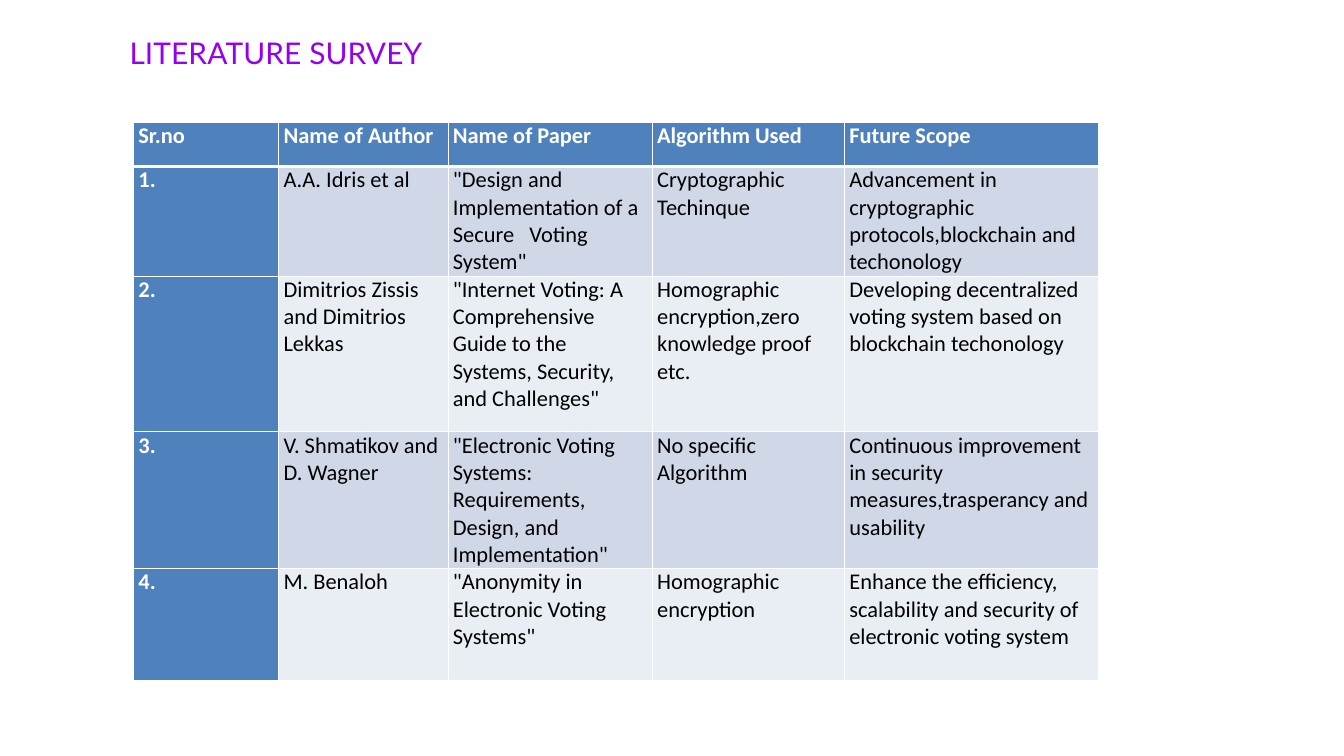
from dataclasses import dataclass

from lxml import etree
from pptx import Presentation
from pptx import util as u
from pptx.dml.color import RGBColor
from pptx.oxml.ns import qn

TITLE = "LITERATURE SURVEY"
HEADINGS = ["Sr.no", "Name of Author", "Name of Paper", "Algorithm Used", "Future Scope"]
PAPERS = [
    ("A.A. Idris et al",
     '"Design and Implementation of a Secure   Voting System"',
     "Cryptographic Techinque",
     "Advancement in cryptographic protocols,blockchain and techonology"),
    ("Dimitrios Zissis and Dimitrios Lekkas",
     '"Internet Voting: A Comprehensive Guide to the Systems, Security, and Challenges"',
     "Homographic encryption,zero knowledge proof etc.",
     "Developing decentralized voting system based on blockchain techonology"),
    ("V. Shmatikov and D. Wagner",
     '"Electronic Voting Systems: Requirements, Design, and Implementation"',
     "No specific Algorithm",
     "Continuous improvement in security measures,trasperancy and usability"),
    ("M. Benaloh",
     '"Anonymity in Electronic Voting Systems"',
     "Homographic encryption",
     "Enhance the efficiency, scalability and security of electronic voting system"),
]

# Lengths in px, 100 to the inch
SLIDE = (2000, 1125)
TITLE_BOX = (183, 46, 1100, 64)
TABLE_CORNER = (199, 182)
COLUMN_WIDTHS = [216, 252, 304, 286, 377]
ROW_HEIGHTS = [66, 133, 232, 199, 166]
CELL_INSET = 7


@dataclass(frozen=True)
class Theme:
    title_font: str = "Lato"
    table_font: str = "Calibri"
    title_size: int = 32
    table_size: int = 24
    title: str = "9600F2"
    accent: str = "4F81BD"
    bands: tuple = ("D0D8E8", "E9EDF4")
    light: str = "FFFFFF"
    dark: str = "000000"
    rule: int = 1
    header_rule: int = 3


THEME = Theme()


def px(length):
    return u.Emu(length * 9144)


def set_font(paragraph, name, size, color, bold=False):
    font = paragraph.font
    font.name, font.size, font.bold = name, u.Pt(size), bold
    font.color.rgb = RGBColor.from_string(color)


def add_borders(cell, top, bottom):
    """Draw all four cell edges; must run before the cell's fill is set."""
    properties = cell._tc.get_or_add_tcPr()
    widths = {"lnL": THEME.rule, "lnR": THEME.rule, "lnT": top, "lnB": bottom}
    for edge, width in widths.items():
        line = etree.SubElement(properties, qn(f"a:{edge}"), w=str(u.Pt(width)))
        fill = etree.SubElement(line, qn("a:solidFill"))
        etree.SubElement(fill, qn("a:srgbClr"), val=THEME.light)


def add_title(slide):
    frame = slide.shapes.add_textbox(*map(px, TITLE_BOX)).text_frame
    frame.word_wrap = True
    paragraph = frame.paragraphs[0]
    run = paragraph.add_run()
    run.text = TITLE
    run._r.get_or_add_rPr().set("spc", "10")
    set_font(paragraph, THEME.title_font, THEME.title_size, THEME.title)


def fill_cell(cell, content, row, column):
    cell.margin_left = cell.margin_right = px(CELL_INSET)
    cell.margin_top = cell.margin_bottom = 0
    add_borders(cell,
                top=THEME.header_rule if row == 1 else THEME.rule,
                bottom=THEME.header_rule if row == 0 else THEME.rule)
    heading = row == 0 or column == 0
    cell.fill.solid()
    cell.fill.fore_color.rgb = RGBColor.from_string(
        THEME.accent if heading else THEME.bands[(row - 1) % 2])
    cell.text = content
    set_font(cell.text_frame.paragraphs[0], THEME.table_font, THEME.table_size,
             THEME.light if heading else THEME.dark, bold=heading)


def add_survey(slide):
    rows = [HEADINGS] + [(f"{n}.", *paper) for n, paper in enumerate(PAPERS, 1)]
    size = (sum(COLUMN_WIDTHS), sum(ROW_HEIGHTS))
    table = slide.shapes.add_table(
        len(rows), len(HEADINGS), *map(px, TABLE_CORNER + size)).table
    table.first_col = True
    for column, width in zip(table.columns, COLUMN_WIDTHS):
        column.width = px(width)
    for r, (row, height) in enumerate(zip(rows, ROW_HEIGHTS)):
        table.rows[r].height = px(height)
        for c, content in enumerate(row):
            fill_cell(table.cell(r, c), content, r, c)


def main():
    deck = Presentation()
    deck.slide_width, deck.slide_height = map(px, SLIDE)
    slide = deck.slides.add_slide(deck.slide_layouts[6])
    add_survey(slide)
    add_title(slide)
    deck.save("out.pptx")


if __name__ == "__main__":
    main()
